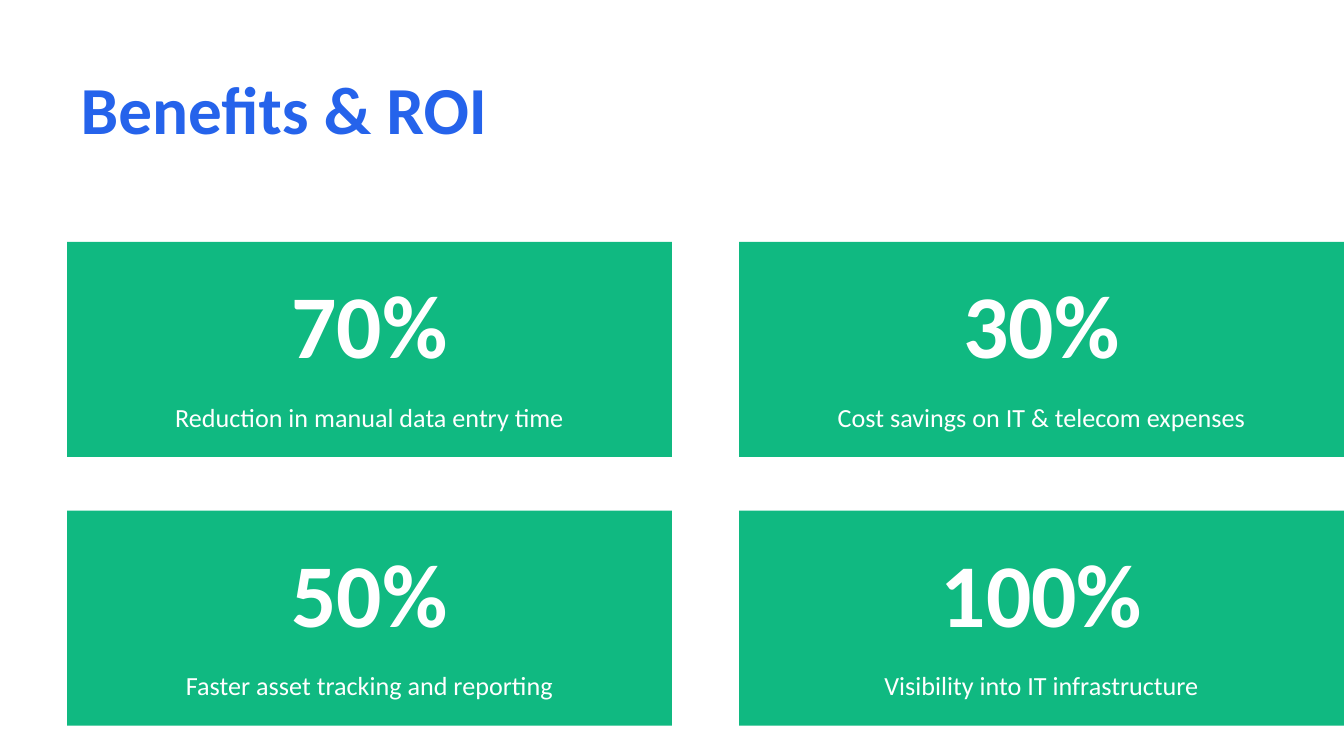
from pptx import Presentation
from pptx.dml.color import RGBColor
from pptx.enum import shapes, text
from pptx.util import Inches, Pt

# Content
TITLE = "Benefits & ROI"
BENEFITS = [
    ("70%", "Reduction in manual data entry time"),
    ("30%", "Cost savings on IT & telecom expenses"),
    ("50%", "Faster asset tracking and reporting"),
    ("100%", "Visibility into IT infrastructure"),
]

# Style and grid, in inches
FONT = "Calibri"
BLUE, GREEN, WHITE = "2563EB", "10B981", "FFFFFF"
COLUMNS = 2
GRID_LEFT, GRID_TOP = 0.5, 1.8
CARD_WIDTH, CARD_HEIGHT = 4.5, 1.6
GAP_X, GAP_Y = 0.5, 0.4


def color(hex_string):
    return RGBColor.from_string(hex_string)


def write(shape, content, size, fill, bold=False, align=text.PP_ALIGN.CENTER):
    frame = shape.text_frame
    frame.word_wrap = True
    frame.auto_size = text.MSO_AUTO_SIZE.NONE
    frame.vertical_anchor = text.MSO_ANCHOR.MIDDLE
    paragraph = frame.paragraphs[0]
    paragraph.alignment = align
    run = paragraph.add_run()
    run.text = content
    run.font.name = FONT
    run.font.size = Pt(size)
    run.font.bold = bold
    run.font.color.rgb = color(fill)


def add_card(slide, left, top, value, label):
    card = slide.shapes.add_shape(
        shapes.MSO_SHAPE.RECTANGLE, Inches(left), Inches(top),
        Inches(CARD_WIDTH), Inches(CARD_HEIGHT))
    card.shadow.inherit = False
    card.fill.solid()
    card.fill.fore_color.rgb = color(GREEN)
    card.line.fill.background()

    # Offset from card top, height, text, size, bold
    for offset, height, content, size, bold in (
            (0.2, 0.8, value, 48, True), (1.1, 0.4, label, 14, False)):
        box = slide.shapes.add_textbox(
            Inches(left), Inches(top + offset), Inches(CARD_WIDTH), Inches(height))
        write(box, content, size, WHITE, bold=bold)


def main():
    # Widescreen, 16:9
    presentation = Presentation()
    presentation.slide_width = Inches(10)
    presentation.slide_height = Inches(10 * 9 / 16)
    slide = presentation.slides.add_slide(presentation.slide_layouts.get_by_name("Title Only"))
    slide.background.fill.solid()
    slide.background.fill.fore_color.rgb = color(WHITE)

    # Title
    title = slide.shapes.title
    title.left, title.top = Inches(0.5), Inches(0.5)
    title.width, title.height = Inches(9), Inches(0.6)
    write(title, TITLE, 36, BLUE, bold=True, align=text.PP_ALIGN.LEFT)

    # Benefit cards
    for index, (value, label) in enumerate(BENEFITS):
        row, column = divmod(index, COLUMNS)
        add_card(slide, GRID_LEFT + column * (CARD_WIDTH + GAP_X),
                 GRID_TOP + row * (CARD_HEIGHT + GAP_Y), value, label)

    presentation.save("out.pptx")


if __name__ == "__main__":
    main()
